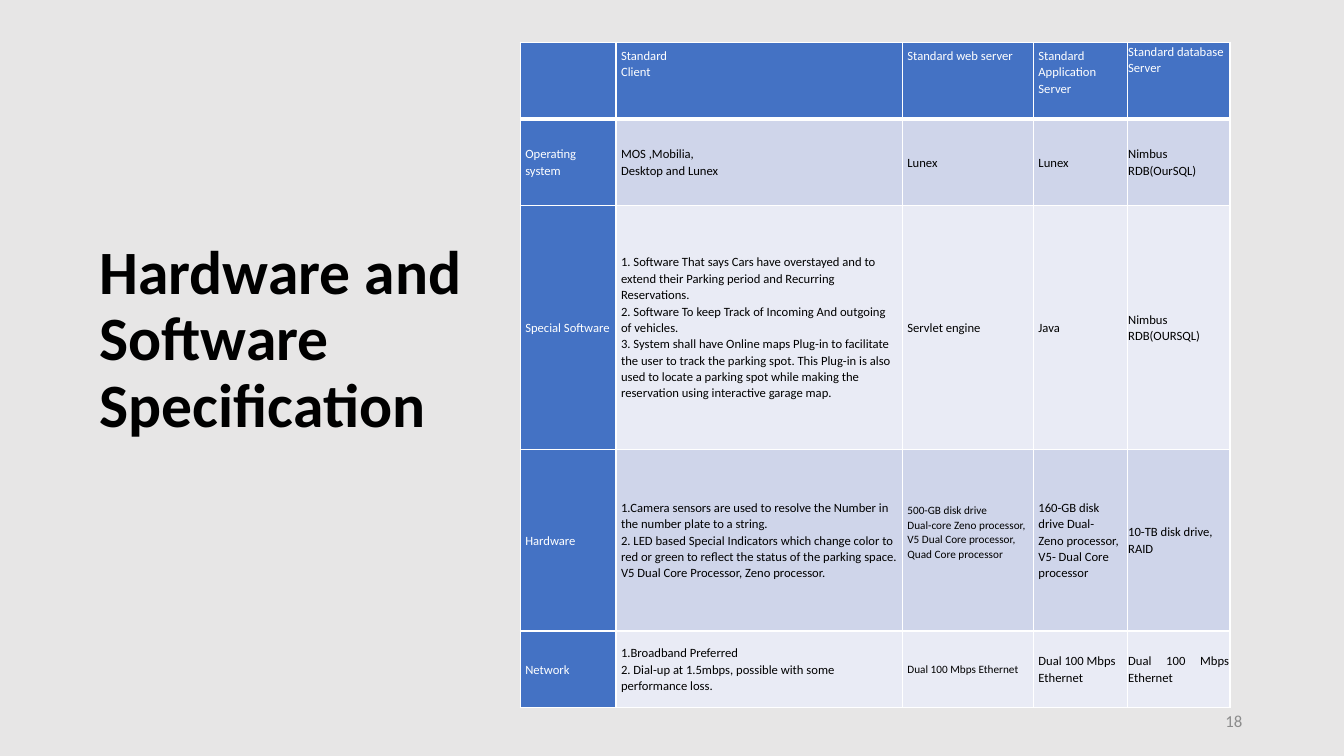
import pptx
import pptx.dml.color
import pptx.enum.text
import pptx.oxml
import pptx.oxml.ns
import pptx.util
from pptx.util import Inches

ANCHOR = pptx.enum.text.MSO_ANCHOR
ALIGN = pptx.enum.text.PP_ALIGN

WHITE, BLACK, GREY = "FFFFFF", "000000", "8C8C8C"
BACKGROUND, BLUE = "E7E6E6", "4472C4"
BANDS = ["CFD5EA", "E9EBF5"]


def colour(value):
    return pptx.dml.color.RGBColor.from_string(value)


class Page:
    """Holds the text style and the current slide."""

    font = "Calibri"
    table_spacing = 1.07

    def __init__(self, deck):
        self.slide = deck.slides.add_slide(deck.slide_layouts[6])
        fill = self.slide.background.fill
        fill.solid()
        fill.fore_color.rgb = colour(BACKGROUND)

    def add_lines(self, frame, lines, size, ink, bold=False, align=ALIGN.LEFT, spacing=1.0):
        for index, line in enumerate(lines):
            para = frame.paragraphs[0] if index == 0 else frame.add_paragraph()
            para.alignment = align
            para.line_spacing = spacing
            span = para.add_run()
            span.text = line
            span.font.name = self.font
            span.font.size = pptx.util.Pt(size)
            span.font.bold = bold
            span.font.color.rgb = colour(ink)

    def text(self, left, top, width, height, line, size, ink, **style):
        box = self.slide.shapes.add_textbox(
            Inches(left), Inches(top), Inches(width), Inches(height))
        frame = box.text_frame
        frame.word_wrap = True
        frame.vertical_anchor = ANCHOR.MIDDLE
        self.add_lines(frame, [line], size, ink, **style)

    def table(self, left, top, widths, heights):
        frame = self.slide.shapes.add_table(
            len(heights), len(widths), Inches(left), Inches(top),
            Inches(sum(widths)), Inches(sum(heights)))
        grid = frame.table
        for column, width in zip(grid.columns, widths):
            column.width = Inches(width)
        for row, height in zip(grid.rows, heights):
            row.height = Inches(height)
        return grid

    def borders(self, cell, bottom):
        properties = cell._tc.get_or_add_tcPr()
        for side, points in [("L", 1), ("R", 1), ("T", 1), ("B", bottom)]:
            properties.append(pptx.oxml.parse_xml(
                f'<a:ln{side} {pptx.oxml.ns.nsdecls("a")} w="{pptx.util.Pt(points)}">'
                f'<a:solidFill><a:srgbClr val="{WHITE}"/></a:solidFill></a:ln{side}>'))

    def cell(self, cell, lines, fill, ink, inset, size=9, anchor=ANCHOR.MIDDLE,
             align=ALIGN.LEFT, bottom_border=1):
        self.borders(cell, bottom_border)
        cell.fill.solid()
        cell.fill.fore_color.rgb = colour(fill)
        cell.vertical_anchor = anchor
        cell.margin_left = cell.margin_right = Inches(inset)
        cell.margin_top = cell.margin_bottom = Inches(inset)
        self.add_lines(cell.text_frame, lines, size, ink, align=align,
                       spacing=self.table_spacing)


# Table wording, one list of lines per cell
SPECIFICATION = [
    [[], ["Standard", "Client"], ["Standard web server"],
     ["Standard Application Server"], ["Standard database Server"]],
    [["Operating system"], ["MOS ,Mobilia,", "Desktop and Lunex"], ["Lunex"], ["Lunex"],
     ["Nimbus RDB(OurSQL)"]],
    [["Special Software"],
     ["1. Software That says Cars have overstayed and to extend their Parking period "
      "and Recurring Reservations.",
      "2. Software To keep Track of Incoming And outgoing of vehicles.",
      "3. System shall have Online maps Plug-in to facilitate the user to track the "
      "parking spot. This Plug-in is also used to locate a parking spot while making "
      "the reservation using interactive garage map."],
     ["Servlet engine"], ["Java"], ["Nimbus RDB(OURSQL)"]],
    [["Hardware"],
     ["1.Camera sensors are used to resolve the Number in the number plate to a string.",
      "2. LED based Special Indicators which change color to red or green to reflect "
      "the status of the parking space.",
      "V5 Dual Core Processor, Zeno processor."],
     ["500-GB disk drive",
      "Dual-core Zeno processor, V5 Dual Core processor, Quad Core processor"],
     ["160-GB disk drive Dual- Zeno processor, V5- Dual Core processor"],
     ["10-TB disk drive,", "RAID"]],
    [["Network"],
     ["1.Broadband Preferred", "2. Dial-up at 1.5mbps, possible with some performance loss."],
     ["Dual 100 Mbps Ethernet"], ["Dual 100 Mbps Ethernet"], ["Dual 100 Mbps Ethernet"]],
]
HARDWARE, NETWORK = 3, 4
WEB_SERVER, DATABASE = 2, 4


def main():
    deck = pptx.Presentation()
    deck.slide_width, deck.slide_height = Inches(13.33), Inches(7.5)
    page = Page(deck)

    # Title
    page.text(0.89, 2.18, 3.87, 2.4, "Hardware and Software Specification", 44, BLACK,
              bold=True, spacing=0.9)

    # Specification table: blue header row and column, banded body
    grid = page.table(5.16, 0.42, [0.95, 2.84, 1.3, 0.93, 1.02],
                      [0.76, 0.86, 2.42, 1.8, 0.76])
    for row, entries in enumerate(SPECIFICATION):
        for column, lines in enumerate(entries):
            heading = row == 0 or column == 0
            small = column == WEB_SERVER and row in (HARDWARE, NETWORK)
            justified = column == DATABASE and row in (HARDWARE, NETWORK)
            page.cell(grid.cell(row, column), lines,
                      fill=BLUE if heading else BANDS[(row - 1) % 2],
                      ink=WHITE if heading else BLACK,
                      inset=0.01 if column == DATABASE else 0.05,
                      size=8 if small else 9,
                      anchor=ANCHOR.TOP if row == 0 else ANCHOR.MIDDLE,
                      align=ALIGN.JUSTIFY if justified else ALIGN.LEFT,
                      bottom_border=3 if row == 0 else 1)
    # The web server hardware sits slightly above the middle
    grid.cell(HARDWARE, WEB_SERVER).margin_bottom = Inches(0.21)

    # Page number
    page.text(9.42, 6.95, 3, 0.4, "18", 12, GREY, align=ALIGN.RIGHT)

    deck.save("out.pptx")


if __name__ == "__main__":
    main()
